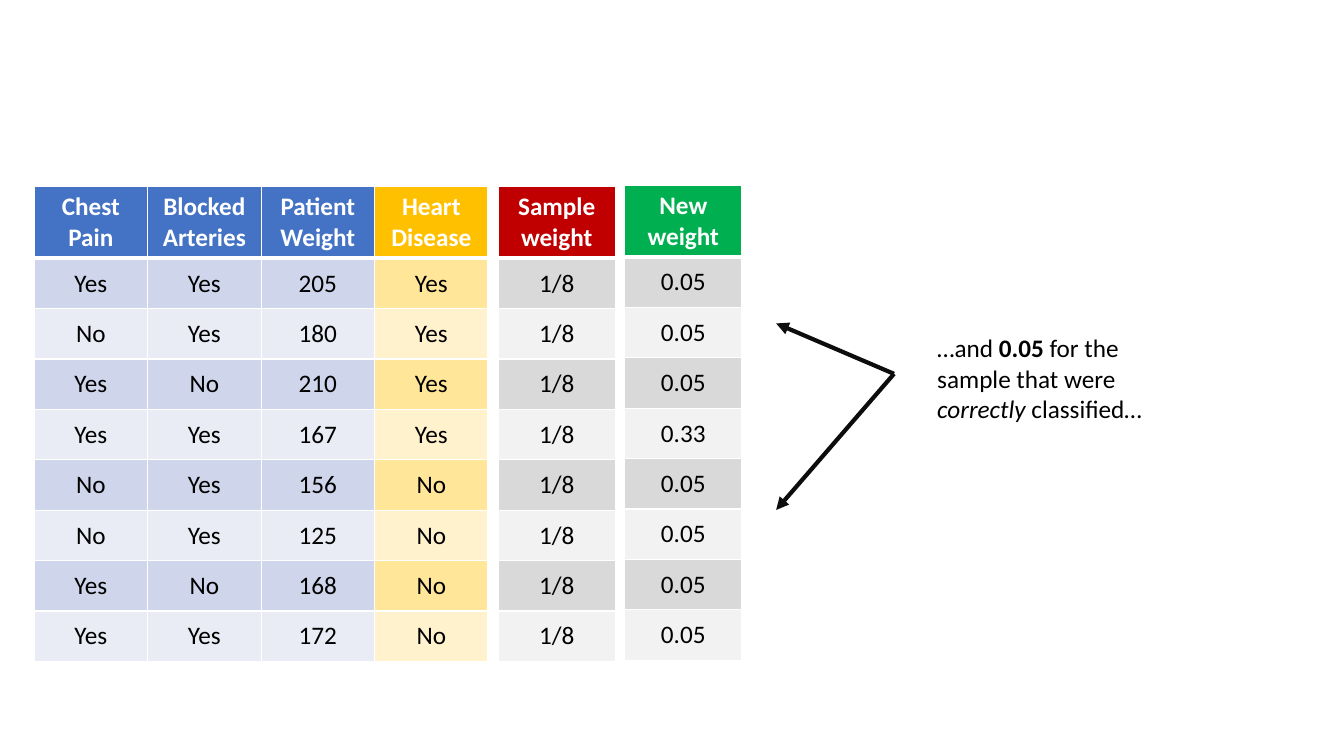
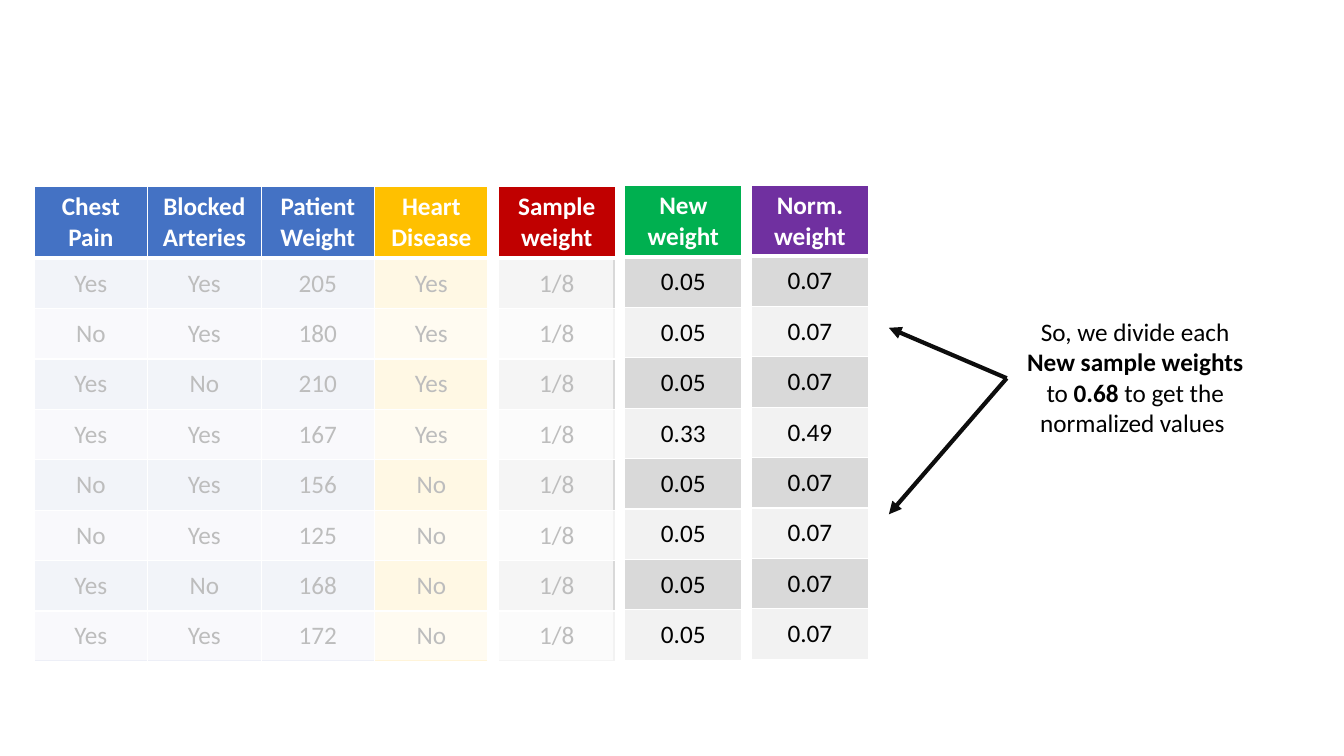
"""Two slides on how sample weights are updated and normalized."""
from lxml.etree import SubElement
from pptx import Presentation
from pptx.dml.color import RGBColor
from pptx.enum.shapes import MSO_CONNECTOR, MSO_SHAPE
from pptx.enum.text import MSO_ANCHOR, MSO_AUTO_SIZE, PP_ALIGN
from pptx.oxml import parse_xml
from pptx.oxml.ns import nsdecls, qn
from pptx.util import Cm, Pt

WHITE = RGBColor(0xFF, 0xFF, 0xFF)
BLACK = RGBColor(0x00, 0x00, 0x00)
INK = RGBColor(0x0D, 0x0D, 0x0D)
BLUE = RGBColor(0x44, 0x72, 0xC4)
GOLD = RGBColor(0xFF, 0xC0, 0x00)
RED = RGBColor(0xC0, 0x00, 0x00)
GREEN = RGBColor(0x00, 0xB0, 0x50)
PURPLE = RGBColor(0x70, 0x30, 0xA0)
BLUES = (RGBColor(0xCF, 0xD5, 0xEA), RGBColor(0xE9, 0xEB, 0xF5))
GOLDS = (RGBColor(0xFF, 0xE6, 0x99), RGBColor(0xFF, 0xF2, 0xCC))
GREYS = (RGBColor(0xD9, 0xD9, 0xD9), RGBColor(0xF2, 0xF2, 0xF2))

HEAD, ROW = 1.78, 1.27
WIDE = 2.96

PATIENTS = [
    ("Chest Pain", BLUE, BLUES, "Yes No Yes Yes No No Yes Yes".split()),
    ("Blocked\nArteries", BLUE, BLUES, "Yes Yes No Yes Yes Yes No Yes".split()),
    ("Patient Weight", BLUE, BLUES, "205 180 210 167 156 125 168 172".split()),
    ("Heart Disease", GOLD, GOLDS, ["Yes"] * 4 + ["No"] * 4),
]
SAMPLE = [("Sample weight", RED, GREYS, ["1/8"] * 8)]
NEW = [("New weight", GREEN, GREYS, ["0.05"] * 3 + ["0.33"] + ["0.05"] * 4)]
NORM = [("Norm. weight", PURPLE, GREYS, ["0.07"] * 3 + ["0.49"] + ["0.07"] * 4)]


def write(frame, text, color=BLACK, bold=False, align=PP_ALIGN.CENTER):
    """Fill a frame; *stars* mark bold words and _bars_ mark italic ones."""
    for at, line in enumerate(text.split("\n")):
        para = frame.add_paragraph() if at else frame.paragraphs[0]
        para.alignment = align
        for i, part in enumerate(line.split("*")):
            for j, piece in enumerate(part.split("_")):
                if piece:
                    run = para.add_run()
                    run.text = piece
                    font = run.font
                    font.name, font.size = "Calibri", Pt(18)
                    font.bold, font.italic = bold or i % 2 == 1, j % 2 == 1
                    font.color.rgb = color


def grid(slide, left, top, width, cols):
    """Draw a table from columns of heading, colour, shades and values."""
    rows = len(cols[0][3]) + 1
    table = slide.shapes.add_table(
        rows, len(cols), Cm(left), Cm(top),
        Cm(width * len(cols)), Cm(HEAD + ROW * (rows - 1))).table
    for at, row in enumerate(table.rows):
        row.height = Cm(ROW if at else HEAD)
    for x, (head, color, shades, values) in enumerate(cols):
        table.columns[x].width = Cm(width)
        for y, text in enumerate([head] + values):
            cell = table.cell(y, x)
            cell.vertical_anchor = MSO_ANCHOR.MIDDLE
            for side in "LRTB":
                thick = (y, side) in ((0, "B"), (1, "T"))
                cell._tc.get_or_add_tcPr().append(parse_xml(
                    f'<a:ln{side} {nsdecls("a")} w="{Pt(3 if thick else 1)}">'
                    f'<a:solidFill><a:srgbClr val="{WHITE}"/></a:solidFill>'
                    f'</a:ln{side}>'))
            cell.fill.solid()
            cell.fill.fore_color.rgb = shades[(y - 1) % 2] if y else color
            write(cell.text_frame, text, color=BLACK if y else WHITE, bold=y == 0)


deck = Presentation()
deck.slide_width, deck.slide_height = Cm(33.87), Cm(19.05)

SLIDES = [
    ("…and *0.05* for the sample that were _correctly_ classified…",
     PP_ALIGN.LEFT, (23.37, 8.26, 7.06, 2.57), (22.53, 9.42), False),
    ("So, we divide each *New sample weights* to *0.68* to get the normalized values ",
     PP_ALIGN.CENTER, (25.37, 7.85, 6.48, 3.33), (25.37, 9.53), True),
]

for text, align, box, (x, y), last in SLIDES:
    slide = deck.slides.add_slide(deck.slide_layouts[6])
    grid(slide, 0.86, 4.7, 2.86, PATIENTS)
    grid(slide, 12.55, 4.7, WIDE, SAMPLE)
    grid(slide, 15.74, 4.67, WIDE, NEW)

    note = slide.shapes.add_textbox(*map(Cm, box)).text_frame
    note.word_wrap = True
    note.auto_size = MSO_AUTO_SIZE.SHAPE_TO_FIT_TEXT
    write(note, text, align=align)

    if last:
        veil = slide.shapes.add_shape(
            MSO_SHAPE.RECTANGLE, Cm(0.79), Cm(6.48), Cm(14.66), Cm(10.16))
        veil.shadow.inherit = False
        veil.line.fill.background()
        veil.fill.solid()
        veil.fill.fore_color.rgb = WHITE
        tint = veil._element.spPr.find(qn("a:solidFill"))[0]
        SubElement(tint, qn("a:alpha"), val="74000")

    for drop in (-1.27, 3.43):
        arrow = slide.shapes.add_connector(
            MSO_CONNECTOR.STRAIGHT, Cm(x), Cm(y), Cm(x - 2.97), Cm(y + drop))
        arrow.line.color.rgb = INK
        arrow.line.width = Pt(3)
        SubElement(arrow.line._get_or_add_ln(), qn("a:tailEnd"), type="triangle")
        SubElement(arrow._element.spPr, qn("a:effectLst"))

    if last:
        grid(slide, 18.93, 4.67, WIDE, NORM)

deck.save("out.pptx")
